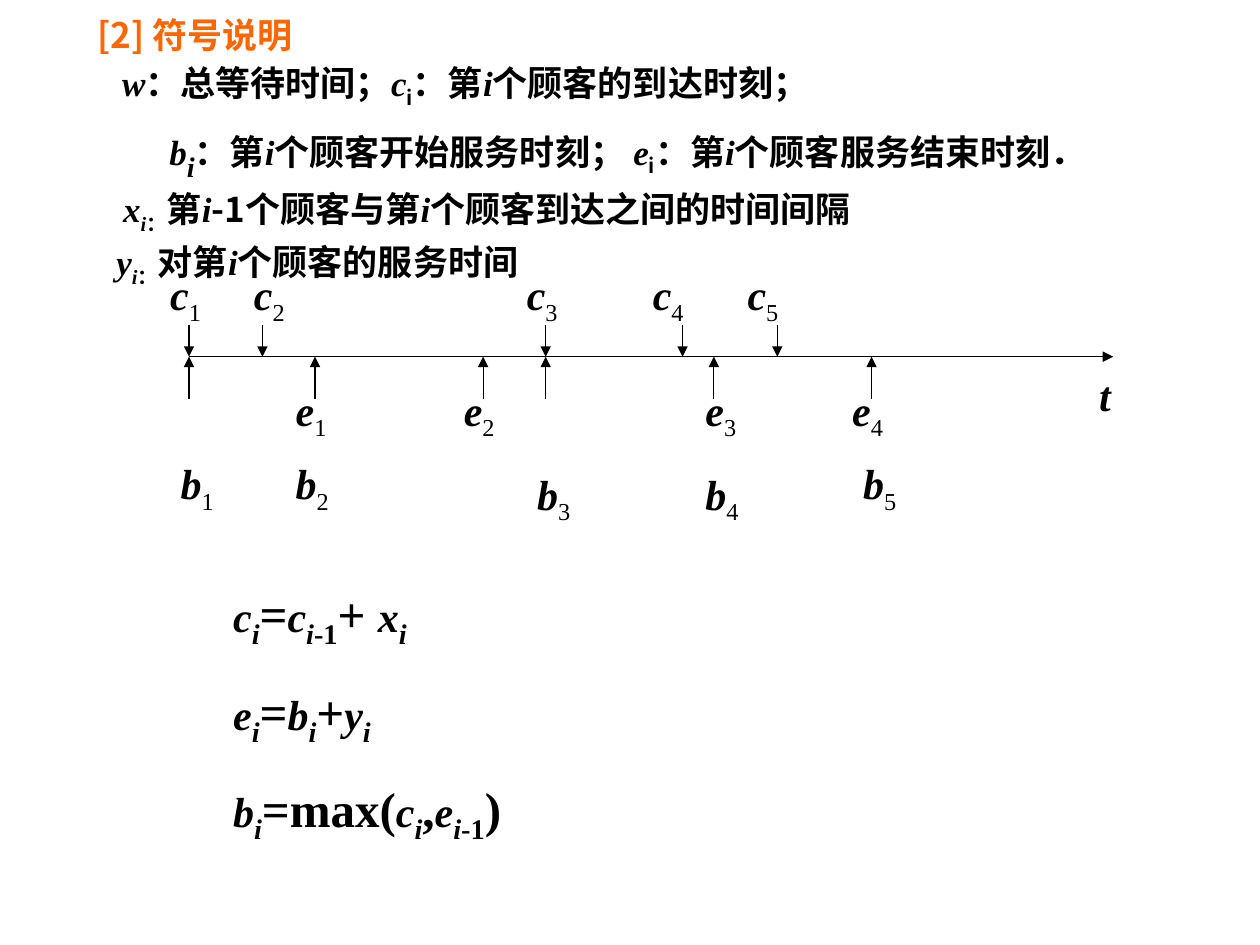
import pptx
import pptx.dml.color
import pptx.enum.shapes
import pptx.enum.text
import pptx.oxml.ns
import pptx.util
from lxml import etree

Cm = pptx.util.Cm
SANS = "Noto Sans CJK SC"
SERIF = "Times New Roman"
BLACK = "000000"
ORANGE = "FF6600"

NOTE_STYLES = {
    "text": dict(size=20, font_name=SANS),
    "text_sub": dict(size=20, font_name=SANS, subscript=True),
    "symbol": dict(size=20, italic=True),
    "symbol_sub": dict(size=20, italic=True, subscript=True),
    "large_sub": dict(size=28, italic=True, subscript=True),
}
FORMULA_STYLES = {
    "symbol": dict(size=24, italic=True),
    "index": dict(size=28, italic=True, subscript=True),
    "operator": dict(size=28),
    "offset": dict(size=28, subscript=True),
}

NOTES = [
    (1.27, [("w", "symbol"), ("：总等待时间；", "text"), ("c", "symbol"),
            ("i", "text_sub"), ("：第", "text"), ("i", "symbol"),
            ("个顾客的到达时刻；", "text")]),
    (2.22, [("b", "symbol"), ("i", "large_sub"), ("：第", "text"),
            ("i", "symbol"), ("个顾客开始服务时刻； ", "text"),
            ("e", "symbol"), ("i", "text_sub"), ("：第", "text"),
            ("i", "symbol"), ("个顾客服务结束时刻．", "text")]),
    (1.29, [("x", "symbol"), ("i", "symbol_sub"), ("：", "text_sub"),
            ("第", "text"), ("i", "symbol"), ("-1个顾客与第", "text"),
            ("i", "symbol"), ("个顾客到达之间的时间间隔", "text")]),
    (1.15, [("y", "symbol"), ("i", "symbol_sub"), ("：", "text_sub"),
            ("对第", "text"), ("i", "symbol"), ("个顾客的服务时间", "text")]),
]
FORMULAS = [
    [("c", "symbol"), ("i", "index"), ("=", "operator"), ("c", "symbol"),
     ("i", "index"), ("-1", "offset"), ("+ ", "operator"), ("x", "symbol"),
     ("i", "index")],
    [("e", "symbol"), ("i", "index"), ("=", "operator"), ("b", "symbol"),
     ("i", "index"), ("+", "operator"), ("y", "symbol"), ("i", "index")],
    [("b", "symbol"), ("i", "index"), ("=max(", "operator"), ("c", "symbol"),
     ("i", "index"), (",", "operator"), ("e", "symbol"), ("i", "index"),
     ("-1", "offset"), (")", "operator")],
]

AXIS_START, AXIS_END, AXIS_Y = 3.81, 22.44, 7.19
ARRIVAL_Y, SERVICE_Y = 6.56, 8.04
ARRIVAL_ARROWS = [3.81, 5.29, 11, 13.76, 15.67]
SERVICE_ARROWS = [3.81, 6.35, 9.74, 11, 14.39, 17.57]
LABELS = {
    "c": [(3.18, 5.29), (4.87, 5.29), (10.37, 5.29), (12.91, 5.29), (14.82, 5.29)],
    "e": [(5.71, 7.62), (9.1, 7.62), (13.97, 7.62), (16.93, 7.62)],
    "b": [(3.39, 9.1), (5.71, 9.1), (10.58, 9.31), (13.97, 9.31), (17.15, 9.1)],
}


def color(value):
    return pptx.dml.color.RGBColor.from_string(value)


def add_run(paragraph, text, size, font_name=SERIF, bold=True, italic=False,
            subscript=False, fill=BLACK):
    run = paragraph.add_run()
    run.text = text
    font = run.font
    font.size = pptx.util.Pt(size)
    font.name = font_name
    font.bold = bold
    font.italic = italic
    font.color.rgb = color(fill)
    properties = run._r.get_or_add_rPr()
    east_asian = etree.SubElement(properties, pptx.oxml.ns.qn("a:ea"))
    east_asian.set("typeface", font_name)
    if subscript:
        properties.set("baseline", "-25000")


def add_runs(paragraph, runs, styles):
    for text, style in runs:
        add_run(paragraph, text, **styles[style])


def next_paragraph(text_frame, index):
    return text_frame.add_paragraph() if index else text_frame.paragraphs[0]


def place(shape, left, top, width, height):
    shape.left, shape.top = Cm(left), Cm(top)
    shape.width, shape.height = Cm(width), Cm(height)
    text_frame = shape.text_frame
    text_frame.word_wrap = True
    text_frame.auto_size = pptx.enum.text.MSO_AUTO_SIZE.NONE
    text_frame.vertical_anchor = pptx.enum.text.MSO_ANCHOR.TOP
    return text_frame


def add_text_box(slide, left, top, width, height):
    shape = slide.shapes.add_textbox(Cm(left), Cm(top), Cm(width), Cm(height))
    return place(shape, left, top, width, height)


def fill_title(slide):
    text_frame = place(slide.shapes.title, 1.71, 0.15, 10, 1.2)
    paragraph = text_frame.paragraphs[0]
    paragraph.alignment = pptx.enum.text.PP_ALIGN.LEFT
    add_run(paragraph, "[2] 符号说明", 20, SANS, fill=ORANGE)


def fill_notes(slide):
    text_frame = place(slide.placeholders[1], 0.94, 1.02, 23.4, 4.92)
    for index, (indent, runs) in enumerate(NOTES):
        paragraph = next_paragraph(text_frame, index)
        paragraph.line_spacing = 1.1
        paragraph.space_before = pptx.util.Pt(0)
        properties = paragraph._p.get_or_add_pPr()
        properties.set("marL", str(Cm(indent)))
        properties.set("indent", "0")
        etree.SubElement(properties, pptx.oxml.ns.qn("a:buNone"))
        add_runs(paragraph, runs, NOTE_STYLES)


def add_arrow(slide, start_x, start_y, end_x, end_y):
    connector = slide.shapes.add_connector(
        pptx.enum.shapes.MSO_CONNECTOR.STRAIGHT,
        Cm(start_x), Cm(start_y), Cm(end_x), Cm(end_y))
    connector.line.color.rgb = color(BLACK)
    connector.line.width = pptx.util.Pt(0.75)
    line = connector.line._get_or_add_ln()
    etree.SubElement(line, pptx.oxml.ns.qn("a:tailEnd")).set("type", "triangle")
    etree.SubElement(connector._element.spPr, pptx.oxml.ns.qn("a:effectLst"))


def add_label(slide, left, top, symbol, number=""):
    text_frame = add_text_box(slide, left, top, 1.48, 1.42)
    paragraph = text_frame.paragraphs[0]
    add_run(paragraph, symbol, 24, italic=True)
    if number:
        add_run(paragraph, number, 24, bold=False, subscript=True)


def add_timeline(slide):
    add_arrow(slide, AXIS_START, AXIS_Y, AXIS_END, AXIS_Y)
    for start_y, positions in ((ARRIVAL_Y, ARRIVAL_ARROWS),
                               (SERVICE_Y, SERVICE_ARROWS)):
        for x in positions:
            add_arrow(slide, x, start_y, x, AXIS_Y)
    for symbol, positions in LABELS.items():
        for number, (left, top) in enumerate(positions, 1):
            add_label(slide, left, top, symbol, str(number))
    add_label(slide, 21.91, 7.32, "t")


def add_formulas(slide):
    text_frame = add_text_box(slide, 4.45, 11.64, 6.35, 7.34)
    for index, runs in enumerate(FORMULAS):
        paragraph = next_paragraph(text_frame, index)
        paragraph.space_before = pptx.util.Pt(17.5)
        add_runs(paragraph, runs, FORMULA_STYLES)


def main():
    presentation = pptx.Presentation()
    presentation.slide_width, presentation.slide_height = Cm(25.4), Cm(19.05)
    slide = presentation.slides.add_slide(presentation.slide_layouts[1])
    fill_title(slide)
    fill_notes(slide)
    add_timeline(slide)
    add_formulas(slide)
    presentation.save("out.pptx")


if __name__ == "__main__":
    main()
